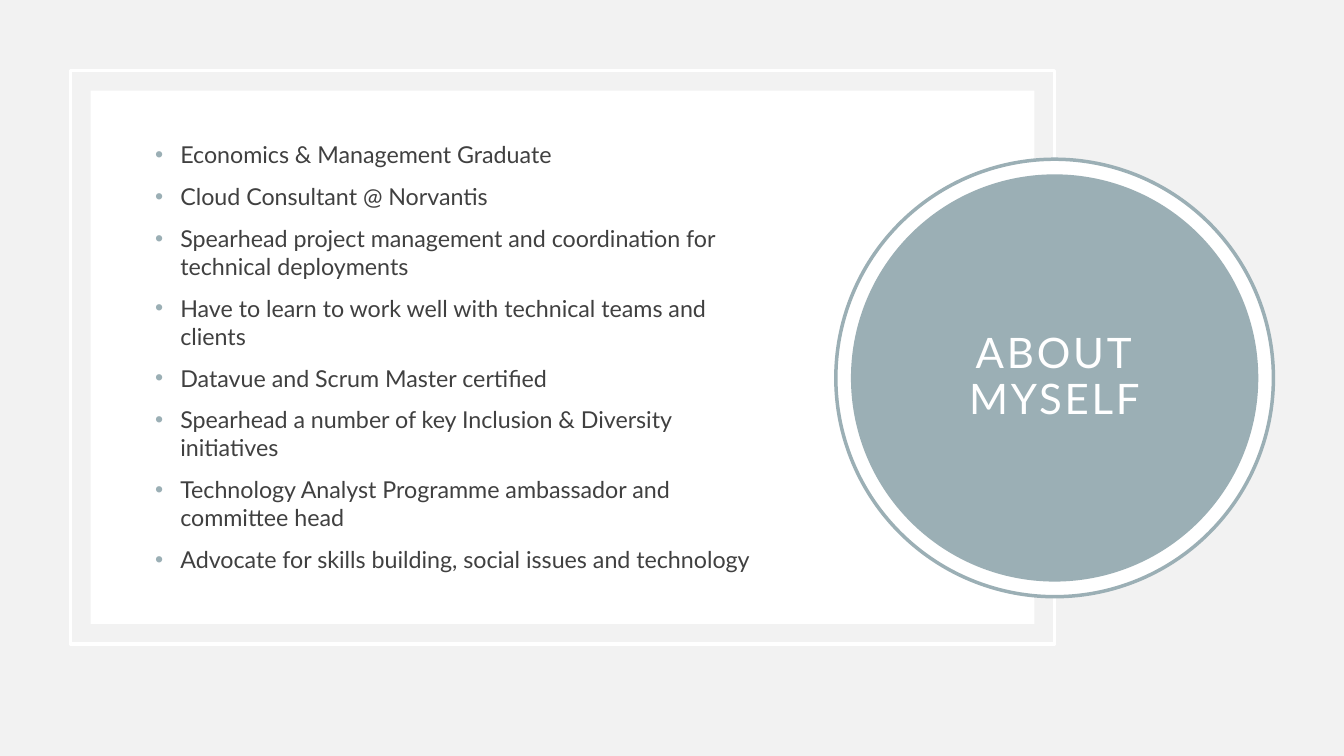
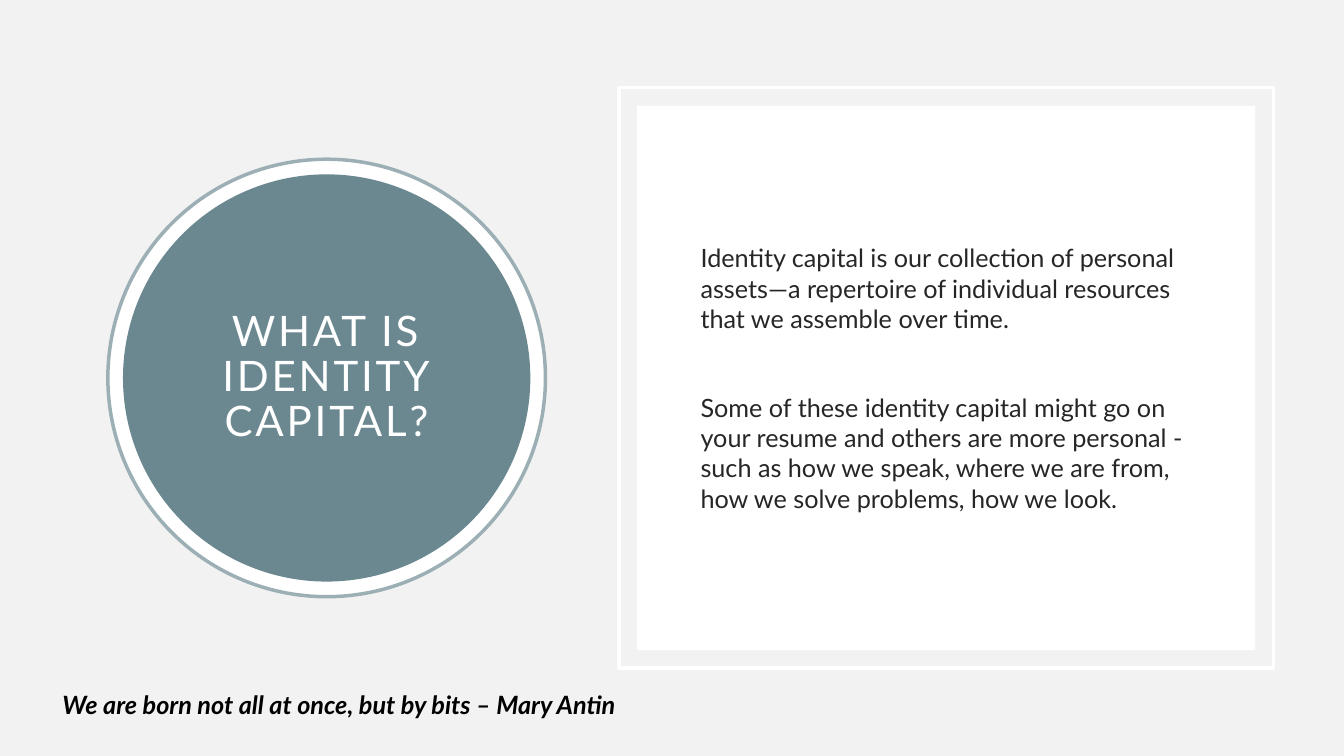
from dataclasses import dataclass
from math import sqrt

from lxml.etree import SubElement
from pptx import Presentation
from pptx.dml.color import RGBColor
from pptx.enum.shapes import MSO_SHAPE
from pptx.enum.text import MSO_ANCHOR, MSO_AUTO_SIZE, PP_ALIGN
from pptx.oxml.ns import qn
from pptx.presentation import Presentation as Deck
from pptx.shapes.autoshape import Shape
from pptx.slide import Slide
from pptx.text.text import _Paragraph as Paragraph, _Run as Run
from pptx.util import Inches, Pt

COLORS = {
    "background": "F2F2F2",
    "white": "FFFFFF",
    "mist": "9BAFB5",
    "teal": "6B8891",
    "gray": "404040",
    "charcoal": "262626",
    "black": "000000",
}
FONT = "Lato"
RING_TOP = 1.58
RING_SIZE = 4.34
DISC_INSET = 0.15
OUTLINE = 2.5


@dataclass(frozen=True)
class Area:
    left: float
    top: float
    width: float
    height: float

    def inset(self, gap: float) -> "Area":
        return Area(self.left + gap, self.top + gap,
                    self.width - 2 * gap, self.height - 2 * gap)


@dataclass(frozen=True)
class Body:
    area: Area
    paragraphs: tuple[str, ...]
    size: float
    color: str
    gap: float
    bulleted: bool = False


@dataclass(frozen=True)
class Topic:
    title: str
    disc_color: str
    ring_left: float
    frame: Area
    panel_inset: float
    body: Body


def color(name: str) -> RGBColor:
    return RGBColor.from_string(COLORS[name])


def place(shape: Shape, area: Area) -> None:
    shape.left, shape.top = Inches(area.left), Inches(area.top)
    shape.width, shape.height = Inches(area.width), Inches(area.height)


def add_figure(page: Slide, kind: MSO_SHAPE, area: Area,
               fill: str | None = None, line: str | None = None) -> None:
    figure = page.shapes.add_shape(kind, 0, 0, 0, 0)
    place(figure, area)
    figure.shadow.inherit = False
    if fill:
        figure.fill.solid()
        figure.fill.fore_color.rgb = color(fill)
    else:
        figure.fill.background()
    if line:
        figure.line.color.rgb = color(line)
        figure.line.width = Pt(OUTLINE)
    else:
        figure.line.fill.background()


def add_span(para: Paragraph, text: str, size: float, tint: str) -> Run:
    span = para.add_run()
    span.text = text
    span.font.name = FONT
    span.font.size = Pt(size)
    span.font.color.rgb = color(tint)
    return span


def add_bullet(para: Paragraph) -> None:
    properties = para._p.get_or_add_pPr()
    properties.set("marL", str(Inches(0.25)))
    properties.set("indent", str(-Inches(0.25)))
    tint = SubElement(properties, qn("a:buClr"))
    SubElement(tint, qn("a:srgbClr"), val=COLORS["mist"])
    SubElement(properties, qn("a:buFont"), typeface="Arial")
    SubElement(properties, qn("a:buChar"), char="•")


def add_body(page: Slide, body: Body) -> None:
    box = page.shapes.add_textbox(0, 0, 0, 0)
    place(box, body.area)
    frame = box.text_frame
    frame.word_wrap = True
    frame.vertical_anchor = MSO_ANCHOR.MIDDLE
    for index, text in enumerate(body.paragraphs):
        para = frame.add_paragraph() if index else frame.paragraphs[0]
        para.space_before = Pt(body.gap if index else 10)
        if body.bulleted:
            add_bullet(para)
        add_span(para, text, body.size, body.color)


def add_title_circle(page: Slide, topic: Topic) -> None:
    ring = Area(topic.ring_left, RING_TOP, RING_SIZE, RING_SIZE)
    disc = ring.inset(DISC_INSET)
    add_figure(page, MSO_SHAPE.OVAL, ring, "white", "mist")
    add_figure(page, MSO_SHAPE.OVAL, disc, topic.disc_color)

    title = page.shapes.title
    place(title, disc.inset(disc.width * (1 - 1 / sqrt(2)) / 2))
    title.element.getparent().append(title.element)
    frame = title.text_frame
    frame.word_wrap = True
    frame.auto_size = MSO_AUTO_SIZE.NONE
    frame.vertical_anchor = MSO_ANCHOR.MIDDLE
    frame.margin_left = frame.margin_right = Inches(0.2)
    frame.margin_top = frame.margin_bottom = Inches(0.2)
    para = frame.paragraphs[0]
    para.alignment = PP_ALIGN.CENTER
    para.line_spacing = 0.9
    span = add_span(para, topic.title, 30, "white")
    span._r.get_or_add_rPr().set("spc", "200")


def add_topic(deck: Deck, topic: Topic) -> Slide:
    page = deck.slides.add_slide(deck.slide_layouts.get_by_name("Title Only"))
    add_figure(page, MSO_SHAPE.RECTANGLE, topic.frame, line="white")
    add_figure(page, MSO_SHAPE.RECTANGLE,
               topic.frame.inset(topic.panel_inset), "white")
    add_body(page, topic.body)
    add_title_circle(page, topic)
    return page


def add_quote(page: Slide, text: str) -> None:
    box = page.shapes.add_textbox(0, 0, 0, 0)
    place(box, Area(0.52, 6.79, 8.32, 0.4))
    box.text_frame.word_wrap = True
    box.text_frame.auto_size = MSO_AUTO_SIZE.SHAPE_TO_FIT_TEXT
    span = add_span(box.text_frame.paragraphs[0], text, 18, "black")
    span.font.bold = True
    span.font.italic = True


ABOUT = Topic(
    "ABOUT MYSELF", "mist", 8.29, Area(0.7, 0.7, 9.76, 5.69), 0.2,
    Body(
        Area(1.44, 1.4, 6.25, 4.28),
        (
            "Economics & Management Graduate",
            "Cloud Consultant @ Norvantis",
            "Spearhead project management and coordination for technical deployments",
            "Have to learn to work well with technical teams and clients",
            "Datavue and Scrum Master certified",
            "Spearhead a number of key Inclusion & Diversity initiatives",
            "Technology Analyst Programme ambassador and committee head",
            "Advocate for skills building, social issues and technology",
        ),
        16.6, "gray", 10, bulleted=True,
    ),
)
IDENTITY = Topic(
    "WHAT IS IDENTITY CAPITAL?", "teal", 1.07, Area(6.14, 0.87, 6.49, 5.76), 0.18,
    Body(
        Area(6.85, 1.58, 5.09, 4.34),
        (
            "Identity capital is our collection of personal assets—a repertoire of "
            "individual resources that we assemble over time.",
            "Some of these identity capital might go on your resume and others are "
            "more personal - such as how we speak, where we are from, how we solve "
            "problems, how we look.",
        ),
        18, "charcoal", 42,
    ),
)


def main() -> None:
    deck = Presentation()
    deck.slide_width, deck.slide_height = Inches(13.33), Inches(7.5)
    backdrop = deck.slide_master.background.fill
    backdrop.solid()
    backdrop.fore_color.rgb = color("background")
    add_topic(deck, ABOUT)
    identity_page = add_topic(deck, IDENTITY)
    add_quote(identity_page, "We are born not all at once, but by bits – Mary Antin")
    deck.save("out.pptx")


main()
